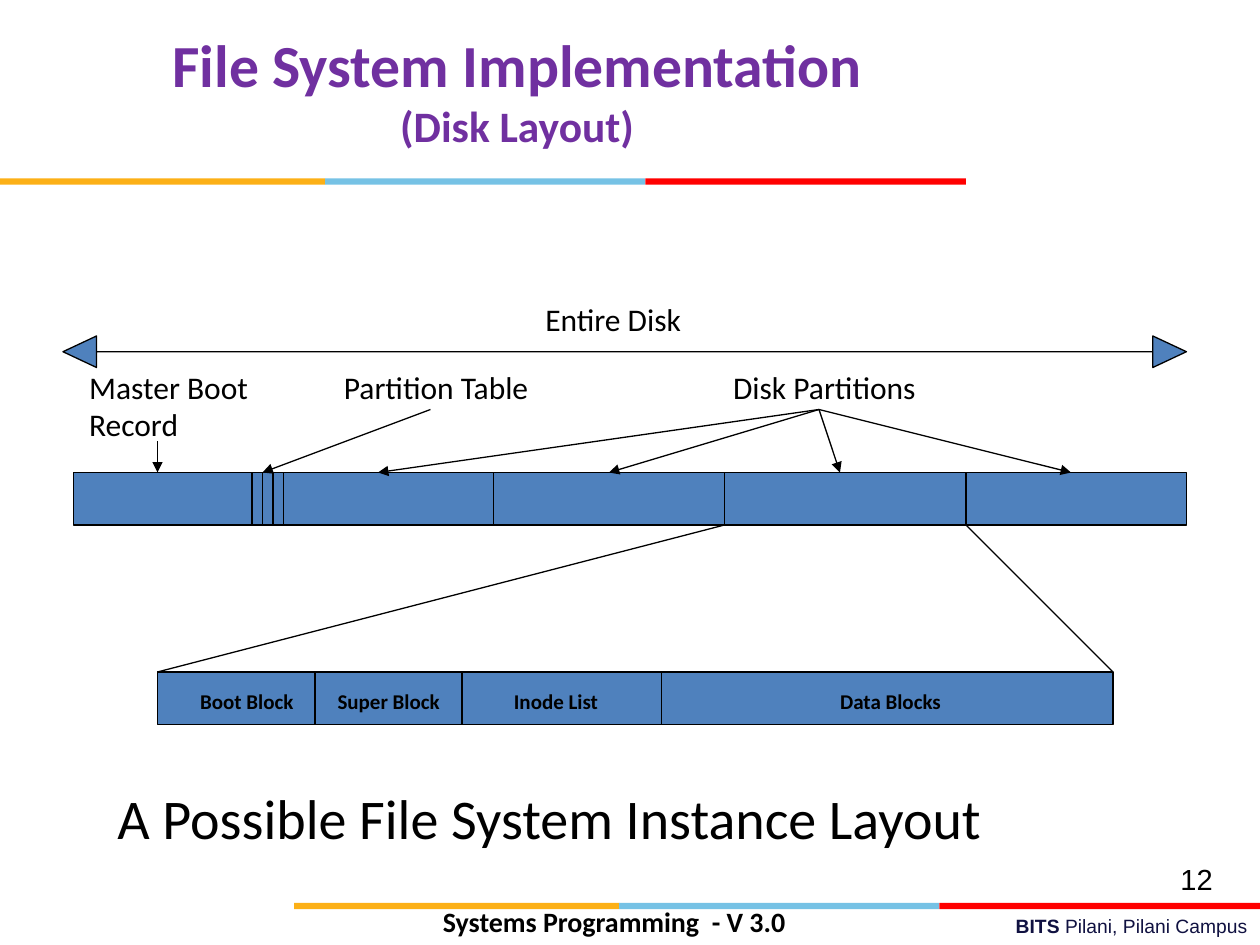
from dataclasses import dataclass

from lxml import etree
from pptx import Presentation
from pptx.dml.color import RGBColor
from pptx.enum.shapes import MSO_CONNECTOR, MSO_SHAPE
from pptx.enum.text import MSO_ANCHOR, PP_ALIGN
from pptx.oxml.ns import qn
from pptx.util import Pt

LEFT, CENTER, RIGHT = PP_ALIGN.LEFT, PP_ALIGN.CENTER, PP_ALIGN.RIGHT
TOP, MIDDLE = MSO_ANCHOR.TOP, MSO_ANCHOR.MIDDLE
RECTANGLE, DOUBLE_ARROW = MSO_SHAPE.RECTANGLE, MSO_SHAPE.LEFT_RIGHT_ARROW
STRAIGHT = MSO_CONNECTOR.STRAIGHT


@dataclass(frozen=True)
class Theme:
    ink: str = "000000"
    title: str = "7030A0"
    campus: str = "101141"
    block: str = "4F81BD"
    stripes: tuple = ("FCB017", "76C2E5", "FF0000")
    body_font: str = "Calibri"
    footer_font: str = "Arial"
    title_size: float = 34.1
    subtitle_size: float = 24.8
    caption_size: float = 32
    label_size: float = 18
    block_size: float = 12
    footer_size: float = 16
    number_size: float = 16.6
    campus_size: float = 11
    line_width: float = 0.75


class SlideBuilder:
    def __init__(self, slide, theme):
        self.slide = slide
        self.theme = theme

    def shape(self, kind, left, top, width, height, fill, outlined=True):
        shape = self.slide.shapes.add_shape(
            kind, Pt(left), Pt(top), Pt(width), Pt(height))
        shape.shadow.inherit = False
        shape.fill.solid()
        shape.fill.fore_color.rgb = RGBColor.from_string(fill)
        if outlined:
            self.outline(shape.line)
        else:
            shape.line.fill.background()
        return shape

    def outline(self, line):
        line.color.rgb = RGBColor.from_string(self.theme.ink)
        line.width = Pt(self.theme.line_width)

    def line(self, start, end, arrow=False):
        connector = self.slide.shapes.add_connector(
            STRAIGHT, *(Pt(value) for value in (*start, *end)))
        self.outline(connector.line)
        if arrow:
            head = etree.SubElement(connector.line._get_or_add_ln(), qn("a:tailEnd"))
            head.set("type", "triangle")
        etree.SubElement(connector._element.spPr, qn("a:effectLst"))

    def text(self, paragraphs, left, top, width, height, *, align=LEFT,
             anchor=TOP, wrap=True, spacing=None, **style):
        """Add a box; each paragraph is a list of (text, style changes) runs."""
        box = self.slide.shapes.add_textbox(
            Pt(left), Pt(top), Pt(width), Pt(height))
        frame = box.text_frame
        frame.word_wrap = wrap
        frame.vertical_anchor = anchor
        for index, runs in enumerate(paragraphs):
            paragraph = frame.add_paragraph() if index else frame.paragraphs[0]
            paragraph.alignment = align
            if spacing:
                paragraph.line_spacing = spacing
            for text, changes in runs:
                self.run(paragraph, text, **{**style, **changes})

    def run(self, paragraph, text, *, size, color=None, font=None, bold=False):
        run = paragraph.add_run()
        run.text = text
        run.font.name = font or self.theme.body_font
        run.font.size = Pt(size)
        run.font.bold = bold
        run.font.color.rgb = RGBColor.from_string(color or self.theme.ink)

    def label(self, text, left, top, width, height, **style):
        """Add plain text, one paragraph per line."""
        paragraphs = [[(line, {})] for line in text.split("\n")]
        self.text(paragraphs, left, top, width, height, **style)

    def stripe(self, left, top):
        edges = (0, 185.75, 368.75, 552)
        for start, end, color in zip(edges, edges[1:], self.theme.stripes):
            self.shape(RECTANGLE, left + start, top, end - start, 3.6, color,
                       outlined=False)

    def divided_bar(self, left, right, top, height, dividers):
        self.shape(RECTANGLE, left, top, right - left, height, self.theme.block)
        for x in dividers:
            self.line((x, top), (x, top + height))


def draw_frame(builder, theme):
    builder.text([[("BITS ", {"bold": True}), ("Pilani, Pilani Campus", {})]],
                 257.75, 519.1, 462.25, 20.9, align=RIGHT, size=theme.campus_size,
                 font=theme.footer_font, color=theme.campus)
    builder.stripe(168, 516)
    builder.stripe(0, 102)
    builder.label("Systems Programming  - V 3.0", 246, 513.4, 228, 28.8,
                  size=theme.footer_size, bold=True)
    builder.label("12", 532, 491, 168, 28.8, align=RIGHT, spacing=0.9,
                  size=theme.number_size, font=theme.footer_font)
    builder.text([[("File System Implementation", {})],
                  [("(Disk Layout)", {"size": theme.subtitle_size})]],
                 14.4, 9.4, 562.3, 83.5, align=CENTER, anchor=MIDDLE,
                 size=theme.title_size, color=theme.title, bold=True)


def draw_disk(builder, theme):
    disk_top, partition_top, bar_height = 270, 384, 30
    disk_bottom = disk_top + bar_height

    extent = builder.shape(DOUBLE_ARROW, 36, 192, 642, 18, theme.block)
    extent.adjustments[0] = 0
    extent.adjustments[1] = 1.065

    builder.divided_bar(42, 678, disk_top, bar_height,
                        (144, 150, 156, 162, 282, 414, 552))
    builder.divided_bar(90, 636, partition_top, bar_height, (180, 264, 378))
    for disk_x, partition_x in ((414, 90), (552, 636)):
        builder.line((disk_x, disk_bottom), (partition_x, partition_top))

    pointers = [((90, 252), 90), ((246, 234), 150)]
    pointers += [((468, 234), x) for x in (216, 348, 480, 612)]
    for start, target in pointers:
        builder.line(start, (target, disk_top), arrow=True)

    for text, left, top, width, height in (
            ("Entire Disk", 304.5, 168, 92.2, 28.8),
            ("Master Boot\nRecord", 43.9, 206.6, 105.1, 50.4),
            ("Partition Table", 189.4, 206.6, 121.7, 28.8),
            ("Disk Partitions", 411.8, 206.6, 118.8, 28.8)):
        builder.label(text, left, top, width, height, wrap=False,
                      size=theme.label_size)
    for text, left, width in (
            ("Boot Block", 107.3, 67.7), ("Super Block", 185.8, 72.7),
            ("Inode List", 286.6, 62.6), ("Data Blocks", 473, 72)):
        builder.label(text, left, 390, width, 21.6, wrap=False,
                      size=theme.block_size, bold=True)
    builder.label("A Possible File System Instance Layout", 60, 444, 606, 46,
                  size=theme.caption_size)


def main():
    presentation = Presentation()
    presentation.slide_width = Pt(720)
    presentation.slide_height = Pt(540)
    slide = presentation.slides.add_slide(presentation.slide_layouts[6])
    theme = Theme()
    builder = SlideBuilder(slide, theme)
    draw_frame(builder, theme)
    draw_disk(builder, theme)
    presentation.save("out.pptx")


if __name__ == "__main__":
    main()
